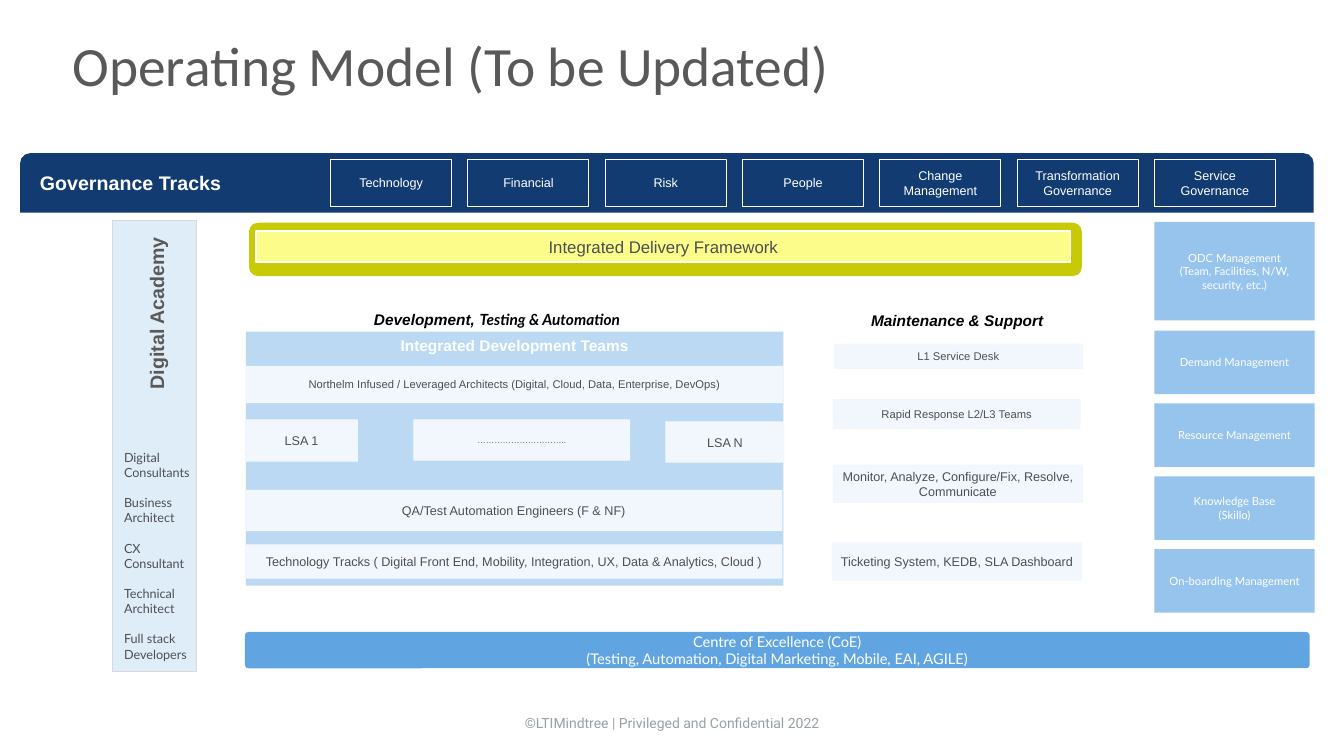
from lxml import etree
from pptx import Presentation, util as u
from pptx.dml.color import RGBColor
from pptx.enum import shapes, text
from pptx.oxml import ns

# The page is a grid of 133.3 columns and 75 rows
WIDTH, HEIGHT = u.Inches(13.33), u.Inches(7.5)
COLUMN, ROW = WIDTH / 133.3, HEIGHT / 75

WHITE = RGBColor(0xFF, 0xFF, 0xFF)
BLACK = RGBColor(0x00, 0x00, 0x00)
GREY = RGBColor(0x59, 0x59, 0x59)
INK = RGBColor(0x4D, 0x4F, 0x53)
FOOTER_GREY = RGBColor(0x97, 0xA0, 0xA4)
EDGE_GREY = RGBColor(0xD9, 0xD9, 0xD9)
NAVY = RGBColor(0x11, 0x3B, 0x71)
BLUE = RGBColor(0x60, 0xA5, 0xE2)
MID_BLUE = RGBColor(0x97, 0xC4, 0xEC)
TEAM_BLUE = RGBColor(0xBC, 0xD9, 0xF3)
ACADEMY_BLUE = RGBColor(0xDF, 0xED, 0xF9)
PALE = RGBColor(0xF2, 0xF7, 0xFD)
OLIVE = RGBColor(0xC8, 0xCA, 0x05)
YELLOW = RGBColor(0xFB, 0xFC, 0x89)

RECT = shapes.MSO_SHAPE.RECTANGLE
ROUND = shapes.MSO_SHAPE.ROUNDED_RECTANGLE
ROUND_TOP = shapes.MSO_SHAPE.ROUND_2_SAME_RECTANGLE
LEFT, CENTER, RIGHT = text.PP_ALIGN.LEFT, text.PP_ALIGN.CENTER, text.PP_ALIGN.RIGHT
TOP, MIDDLE = text.MSO_ANCHOR.TOP, text.MSO_ANCHOR.MIDDLE

TRACKS = ["Technology", "Financial", "Risk", "People", "Change\nManagement",
          "Transformation Governance", "Service Governance"]
ROLES = ["Digital Consultants", "Business Architect", "CX Consultant",
         "Technical Architect", "Full stack Developers"]
SERVICES = ["Demand Management", "Resource Management",
            "Knowledge Base\n(Skillo)", "On-boarding Management"]
# Wording, place on the grid, text size
TEAM_CARDS = [
    ("Northelm Infused / Leveraged Architects (Digital, Cloud, Data, Enterprise, DevOps)",
     (24.4, 36.3, 53.3, 3.7), 8),
    ("LSA 1", (24.3, 41.6, 11.2, 4.2), 9),
    ("…………………………..", (41, 41.6, 21.5, 4.1), 6),
    ("LSA N", (66, 41.8, 11.8, 4.1), 9),
    ("QA/Test Automation Engineers (F & NF)", (24.3, 48.6, 53.3, 4.1), 9),
    ("Technology Tracks ( Digital Front End, Mobility, Integration, UX, "
     "Data & Analytics, Cloud )", (24.3, 54, 53.3, 3.4), 9),
]
SUPPORT_CARDS = [
    ("L1 Service Desk", (82.7, 34.1, 24.7, 2.5), 8),
    ("Rapid Response L2/L3 Teams", (82.6, 39.6, 24.6, 3), 8),
    ("Monitor, Analyze, Configure/Fix, Resolve, Communicate",
     (82.6, 46.1, 24.8, 3.8), 9),
    ("Ticketing System, KEDB, SLA Dashboard", (82.5, 53.8, 24.8, 3.8), 9),
]


def on_grid(left, top, width, height):
    return (round(left * COLUMN), round(top * ROW),
            round(width * COLUMN), round(height * ROW))


def write(box, wording, size, color, font="Arial", align=CENTER, anchor=MIDDLE,
          bold=False, italic=False):
    frame = box.text_frame
    frame.text = wording
    frame.word_wrap = True
    frame.vertical_anchor = anchor
    for para in frame.paragraphs:
        para.alignment = align
        para.font.name = font
        para.font.size = u.Pt(size)
        para.font.color.rgb = color
        para.font.bold = bold
        para.font.italic = italic
    return frame


def add_block(page, place, fill=None, line=None, weight=0.75, kind=RECT):
    block = page.shapes.add_shape(kind, *on_grid(*place))
    block.shadow.inherit = False
    if fill is None:
        block.fill.background()
    else:
        block.fill.solid()
        block.fill.fore_color.rgb = fill
    if line is None:
        block.line.fill.background()
    else:
        block.line.color.rgb = line
        block.line.width = u.Pt(weight)
    return block


def add_card(page, wording, place, size, fill=PALE, color=INK, line=None, **style):
    card = add_block(page, place, fill, line, weight=1)
    frame = write(card, wording, size, color, **style)
    frame.margin_left = frame.margin_right = u.Inches(0.07)
    frame.margin_top = frame.margin_bottom = u.Inches(0.04)


def add_label(page, wording, place, size, color, **style):
    label = page.shapes.add_textbox(*on_grid(*place))
    write(label, wording, size, color, anchor=TOP, **style)
    return label


def place_holder(holder, place):
    holder.left, holder.top, holder.width, holder.height = on_grid(*place)
    holder.text_frame.auto_size = text.MSO_AUTO_SIZE.NONE


def add_title(page):
    title = page.shapes.title
    place_holder(title, (6.2, 3.3, 120, 7))
    frame = write(title, "Operating Model (To be Updated)", 39.6, GREY,
                  font="Calibri", align=LEFT)
    frame.paragraphs[0].line_spacing = 0.9


def add_governance(page):
    add_block(page, (2, 15.2, 128.3, 5.9), NAVY, kind=ROUND_TOP)
    heading = add_label(page, "Governance Tracks", (2.9, 16.5, 20.1, 3.4), 14, WHITE,
                        bold=True)
    heading.text_frame.word_wrap = False
    first, last = 32.8, 114.5
    step = (last - first) / (len(TRACKS) - 1)
    for index, track in enumerate(TRACKS):
        box = add_block(page, (first + index * step, 15.8, 12, 4.7), line=WHITE)
        write(box, track, 9, WHITE)


def add_academy(page):
    add_block(page, (11.2, 21.9, 8.3, 44.7), ACADEMY_BLUE, EDGE_GREY)
    heading = add_label(page, "Digital Academy", (4.6, 31.8, 21.9, 3.4), 14, GREY,
                        align=RIGHT, bold=True)
    heading.rotation = 270
    roles = page.placeholders[1]
    place_holder(roles, (11.3, 44.1, 8.7, 19.3))
    # Bring the list in front of its panel
    roles.element.getparent().append(roles.element)
    roles.text_frame.text = "\n".join(ROLES)
    for para in roles.text_frame.paragraphs:
        props = para._p.get_or_add_pPr()
        props.set("marL", "0")
        props.set("indent", "0")
        etree.SubElement(props, ns.qn("a:buNone"))
    write(roles, "\n".join(ROLES), 9, INK, font="Lato", align=LEFT, anchor=TOP)
    for index, para in enumerate(roles.text_frame.paragraphs):
        props = para._p.get_or_add_pPr()
        props.set("marL", "0")
        props.set("indent", "0")
        if props.find(ns.qn("a:buNone")) is None:
            props.insert(0, etree.Element(ns.qn("a:buNone")))
        para.space_before = u.Pt(10.8 if index else 0)


def add_services(page):
    box = add_block(page, (114.5, 22, 15.9, 9.8), MID_BLUE)
    write(box, "ODC Management\n(Team, Facilities, N/W, security, etc.)", 8, WHITE,
          font="Lato")
    for index, service in enumerate(SERVICES):
        box = add_block(page, (114.5, 32.8 + index * 7.23, 15.9, 6.3), MID_BLUE)
        write(box, service, 8, WHITE, font="Lato")


def add_delivery(page):
    add_block(page, (24.7, 22.1, 82.6, 5.3), OLIVE, kind=ROUND)
    add_card(page, "Integrated Delivery Framework", (25.4, 22.9, 80.8, 3.1), 12,
             fill=YELLOW, line=WHITE)

    # Development teams
    heading = add_label(page, "Development, ", (28.9, 30.3, 40.8, 2.9), 11, BLACK,
                        bold=True, italic=True)
    span = heading.text_frame.paragraphs[0].add_run()
    span.text = "Testing & Automation"
    span.font.name = "Lato"
    add_card(page, "Integrated Development Teams", (24.4, 32.9, 53.3, 25.2), 11,
             fill=TEAM_BLUE, color=WHITE, anchor=TOP, bold=True)

    # Maintenance and support
    add_label(page, "Maintenance & Support", (81.5, 30.4, 26.9, 2.9), 11, BLACK,
              bold=True, italic=True)
    for wording, place, size in TEAM_CARDS + SUPPORT_CARDS:
        add_card(page, wording, place, size)


def add_base(page):
    centre = add_block(page, (24.3, 62.7, 105.6, 3.6), BLUE, kind=ROUND)
    centre.adjustments[0] = 0.1
    write(centre, "Centre of Excellence (CoE)\n"
          "(Testing, Automation, Digital Marketing, Mobile, EAI, AGILE)",
          10.5, WHITE, font="Lato")
    footer = add_label(page, "©LTIMindtree | Privileged and Confidential 2022",
                       (33.3, 70.3, 66.7, 2.7), 10, FOOTER_GREY, font="Roboto")
    footer.text_frame.paragraphs[0].line_spacing = 1.07


def main():
    deck = Presentation()
    deck.slide_width, deck.slide_height = WIDTH, HEIGHT
    page = deck.slides.add_slide(deck.slide_layouts[1])
    add_title(page)
    add_governance(page)
    add_academy(page)
    add_services(page)
    add_delivery(page)
    add_base(page)
    deck.save("out.pptx")


if __name__ == "__main__":
    main()
